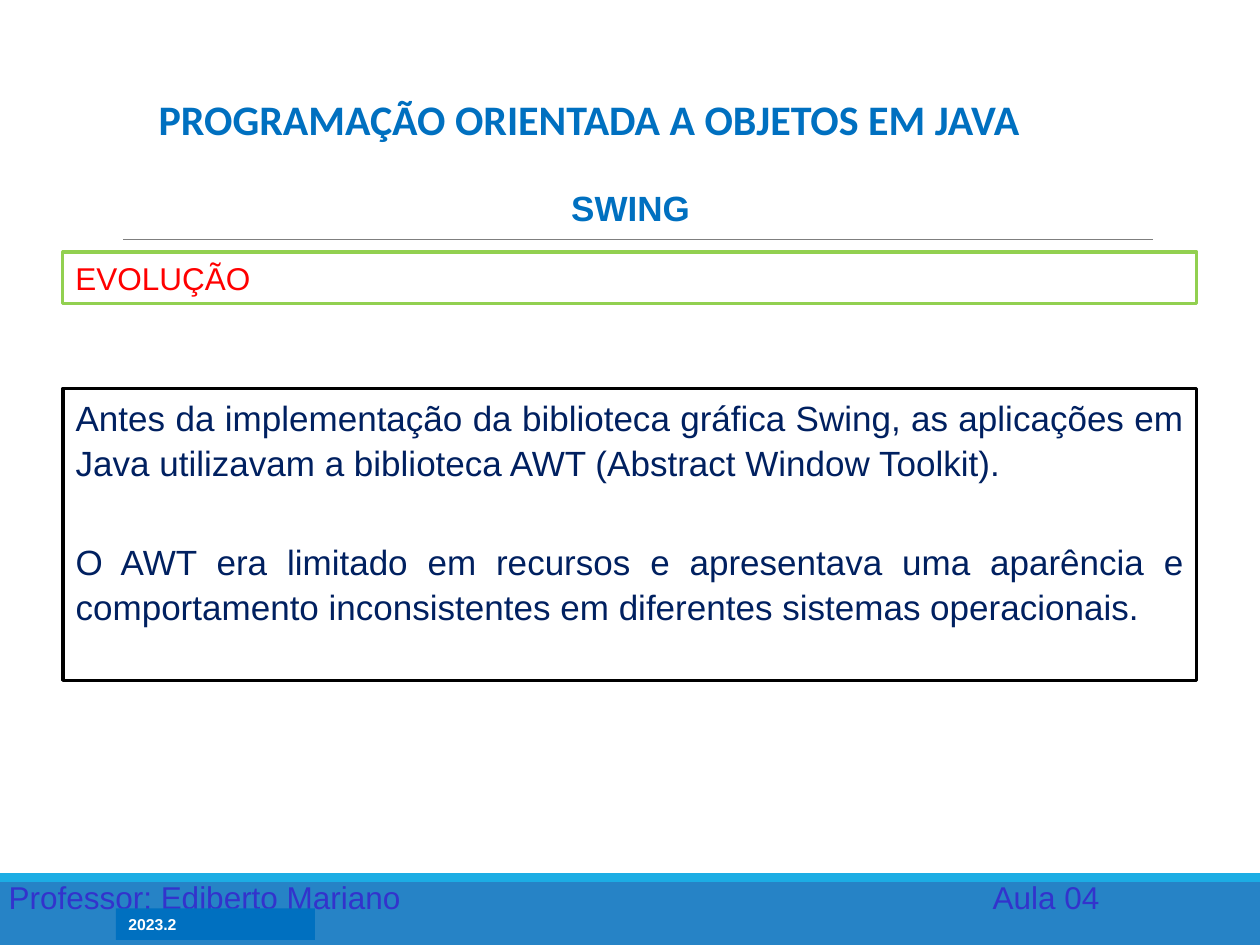
import pptx
import pptx.dml.color
import pptx.enum.shapes
import pptx.enum.text
import pptx.oxml
import pptx.util
from pptx.util import Inches

ALIGN = pptx.enum.text.PP_ALIGN
ANCHOR = pptx.enum.text.MSO_ANCHOR

# position (left, top, width, height), fill
BANDS = [
    ((0, 6.93, 10, 0.57), "2683C6"),
    ((0, 6.93, 10, 0.07), "1CADE4"),
]
RULE = (0.98, 1.9, 9.15, 1.9)

TITLE = {"at": (1.03, 0.67, 7.29, 0.52),
         "text": ["PROGRAMAÇÃO ORIENTADA A OBJETOS EM JAVA"],
         "font": {"name": "Calibri", "size": 24, "bold": True}, "color": "0070C0",
         "align": ALIGN.CENTER, "anchor": ANCHOR.BOTTOM}
BODY = {"at": (0.5, 3.08, 9, 2.32),
        "text": ["Antes da implementação da biblioteca gráfica Swing, as aplicações em "
                 "Java utilizavam a biblioteca AWT (Abstract Window Toolkit).",
                 "O AWT era limitado em recursos e apresentava uma aparência e "
                 "comportamento inconsistentes em diferentes sistemas operacionais."],
        "font": {"size": 20}, "color": "002060", "line": "000000",
        "align": ALIGN.JUSTIFY, "spacing": 1.06, "gap": 31.5}
BOXES = [
    {"at": (0.5, 2, 9, 0.41), "text": ["EVOLUÇÃO"], "font": {"size": 18},
     "color": "FF0000", "line": "92D050", "anchor": ANCHOR.MIDDLE},
    {"at": (0.67, 1.43, 8.67, 0.44), "text": ["SWING"],
     "font": {"size": 20, "bold": True}, "color": "0070C0", "align": ALIGN.CENTER},
    {"at": (-0.03, 6.92, 5, 0.4), "text": ["Professor: Ediberto Mariano"],
     "font": {"size": 18}, "color": "3333CC"},
    {"at": (7.78, 6.92, 1.5, 0.4), "text": ["Aula 04"],
     "font": {"size": 18}, "color": "3333CC"},
    {"at": (0.92, 7.21, 1.58, 0.25), "text": ["2023.2"],
     "font": {"size": 9, "bold": True}, "color": "FFFFFF", "fill": "0070C0",
     "anchor": ANCHOR.MIDDLE},
]


def paint(color_format, color):
    color_format.rgb = pptx.dml.color.RGBColor.from_string(color)


def place(shape, position):
    for name, value in zip(("left", "top", "width", "height"), position):
        setattr(shape, name, Inches(value))


def format_box(shape, box):
    """Position, outline and fill a text-bearing shape, then write its paragraphs."""
    place(shape, box["at"])
    if "fill" in box:
        shape.fill.solid()
        paint(shape.fill.fore_color, box["fill"])
    if "line" in box:
        paint(shape.line.color, box["line"])
        shape.line.width = pptx.util.Pt(1.75)
    frame = shape.text_frame
    frame_format = {
        "word_wrap": True, "auto_size": pptx.enum.text.MSO_AUTO_SIZE.NONE,
        "vertical_anchor": box.get("anchor", ANCHOR.TOP),
        "margin_left": Inches(0.1), "margin_right": Inches(0.1),
        "margin_top": Inches(0.05), "margin_bottom": Inches(0.05)}
    for name, value in frame_format.items():
        setattr(frame, name, value)
    for index, text in enumerate(box["text"]):
        paragraph = frame.add_paragraph() if index else frame.paragraphs[0]
        paragraph.text = text
        paragraph.alignment = box.get("align", ALIGN.LEFT)
        paragraph.line_spacing = box.get("spacing", 1.0)
        paragraph.space_before = pptx.util.Pt(box.get("gap", 0) if index else 0)
        font = {"name": "Arial", "bold": False, **box["font"]}
        font["size"] = pptx.util.Pt(font["size"])
        for name, value in font.items():
            setattr(paragraph.runs[0].font, name, value)
        paint(paragraph.runs[0].font.color, box["color"])


def remove_bullets(shape):
    for paragraph in shape.text_frame.paragraphs:
        properties = paragraph._p.get_or_add_pPr()
        properties.set("marL", "0")
        properties.set("indent", "0")
        pptx.oxml.ns  # namespace map used below
        properties.append(pptx.oxml.parse_xml(
            f'<a:buNone {pptx.oxml.ns.nsdecls("a")}/>'))


def add_rule(slide):
    rule = slide.shapes.add_connector(
        pptx.enum.shapes.MSO_CONNECTOR.STRAIGHT, *map(Inches, RULE))
    paint(rule.line.color, "7F7F7F")
    rule.line.width = pptx.util.Pt(0.5)
    rule._element.spPr.append(pptx.oxml.parse_xml(
        f'<a:effectLst {pptx.oxml.ns.nsdecls("a")}/>'))


def main():
    presentation = pptx.Presentation()
    presentation.slide_width = Inches(10)
    presentation.slide_height = Inches(7.5)
    slide = presentation.slides.add_slide(presentation.slide_layouts[1])

    for position, color in BANDS:
        band = slide.shapes.add_shape(
            pptx.enum.shapes.MSO_SHAPE.RECTANGLE, *map(Inches, position))
        band.shadow.inherit = False
        band.fill.solid()
        paint(band.fill.fore_color, color)
        band.line.fill.background()
    add_rule(slide)

    format_box(slide.shapes.title, TITLE)
    body = slide.placeholders[1]
    format_box(body, BODY)
    remove_bullets(body)
    for box in BOXES:
        format_box(slide.shapes.add_textbox(*map(Inches, box["at"])), box)

    presentation.save("out.pptx")


if __name__ == "__main__":
    main()
